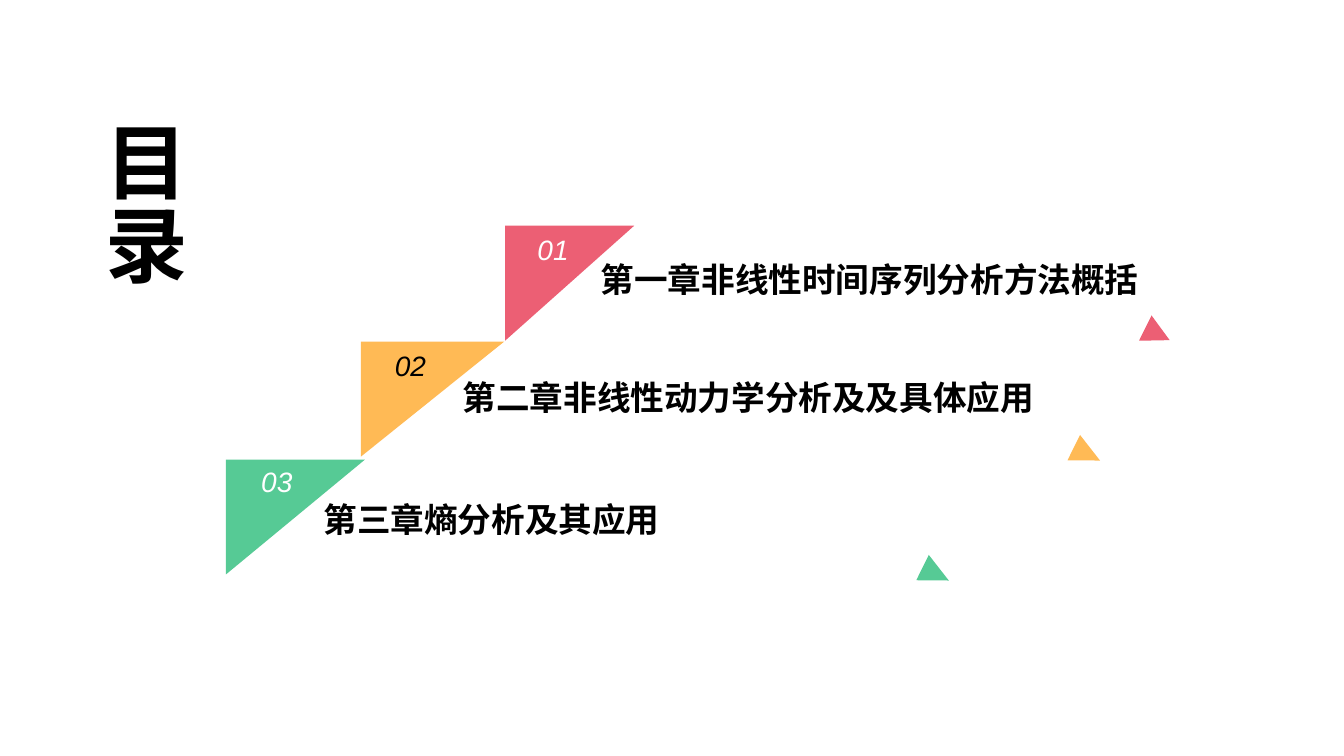
"""Build a contents slide whose three chapters descend like stairs."""
from pptx import Presentation
from pptx.dml.color import RGBColor as Color
from pptx.enum.shapes import MSO_SHAPE as Shape
from pptx.enum.text import PP_ALIGN as Align
from pptx.oxml.ns import qn
from pptx.util import Inches, Pt

THEME = {
    "black": "000000", "white": "FFFFFF",
    "red": "EC5F74", "amber": "FFBA55", "green": "56CA95",
    "han": "Noto Sans CJK SC", "latin": "Arial",
    "title": 59, "chapter": 24, "number": 20,
}
STEP_HEIGHT = 1.14
NUMBER_HEIGHT = 0.57


def add_text(parent, text, place, face, size, color, wrap=True, spacing=1.1, align=Align.LEFT, **style):
    box = parent.add_textbox(*map(Inches, place))
    box.text_frame.word_wrap = wrap
    para = box.text_frame.paragraphs[0]
    para.alignment, para.line_spacing = align, spacing
    span = para.add_run()
    span.text = text
    values = {"name": THEME[face], "size": Pt(THEME[size]), **style}
    for name, value in values.items():
        setattr(span.font, name, value)
    span.font.color.rgb = Color.from_string(THEME[color])
    properties = span.font._element
    east_asian = properties.makeelement(qn("a:ea"), {"typeface": THEME[face]})
    properties.find(qn("a:latin")).addnext(east_asian)
    return box


def add_triangle(parent, kind, place, color):
    triangle = parent.add_shape(kind, *map(Inches, place))
    triangle.shadow.inherit = False
    triangle.fill.solid()
    triangle.fill.fore_color.rgb = Color.from_string(THEME[color])
    triangle.line.fill.background()
    return triangle


deck = Presentation()
deck.slide_width, deck.slide_height = Inches(13.33), Inches(7.5)
page = deck.slides.add_slide(deck.slide_layouts[6])

title = add_text(page.shapes, "目录", (0.8, 1.1, 1.17, 2.39), "han", "title", "black",
                 wrap=False, spacing=1.0, bold=True)
title.text_frame._txBody.bodyPr.set("vert", "eaVert")

chapters = [
    ("第一章非线性时间序列分析方法概括", "red", "white",
     (5.01, 2.24, 1.28), (5.04, 2.22, 0.89), (5.86, 2.48, 5.71), (11.34, 3.18, 0.28, 0.27)),
    ("第二章非线性动力学分析及及具体应用", "amber", "black",
     (3.58, 3.39, 1.42), (3.58, 3.38, 0.98), (4.49, 3.65, 7.46), (10.64, 4.36, 0.28, 0.29)),
    ("第三章熵分析及其应用", "green", "white",
     (2.24, 4.56, 1.38), (2.27, 4.53, 0.95), (3.11, 4.86, 9.05), (9.14, 5.55, 0.28, 0.29)),
]

for index, (heading, color, ink, step_at, number_at, heading_at, marker_at) in enumerate(chapters, 1):
    group = page.shapes.add_group_shape().shapes
    step = add_triangle(group, Shape.RIGHT_TRIANGLE, (*step_at, STEP_HEIGHT), color)
    step._element.spPr.find(qn("a:xfrm")).set("flipV", "1")
    add_text(group, f"{index:02}", (*number_at, NUMBER_HEIGHT), "latin", "number", ink,
             align=Align.CENTER, italic=True)
    add_text(group, heading, (*heading_at, 1), "han", "chapter", "black", bold=True)
    marker = add_triangle(group, Shape.ISOSCELES_TRIANGLE, marker_at, color)
    marker.rotation = 116.3

deck.save("out.pptx")
